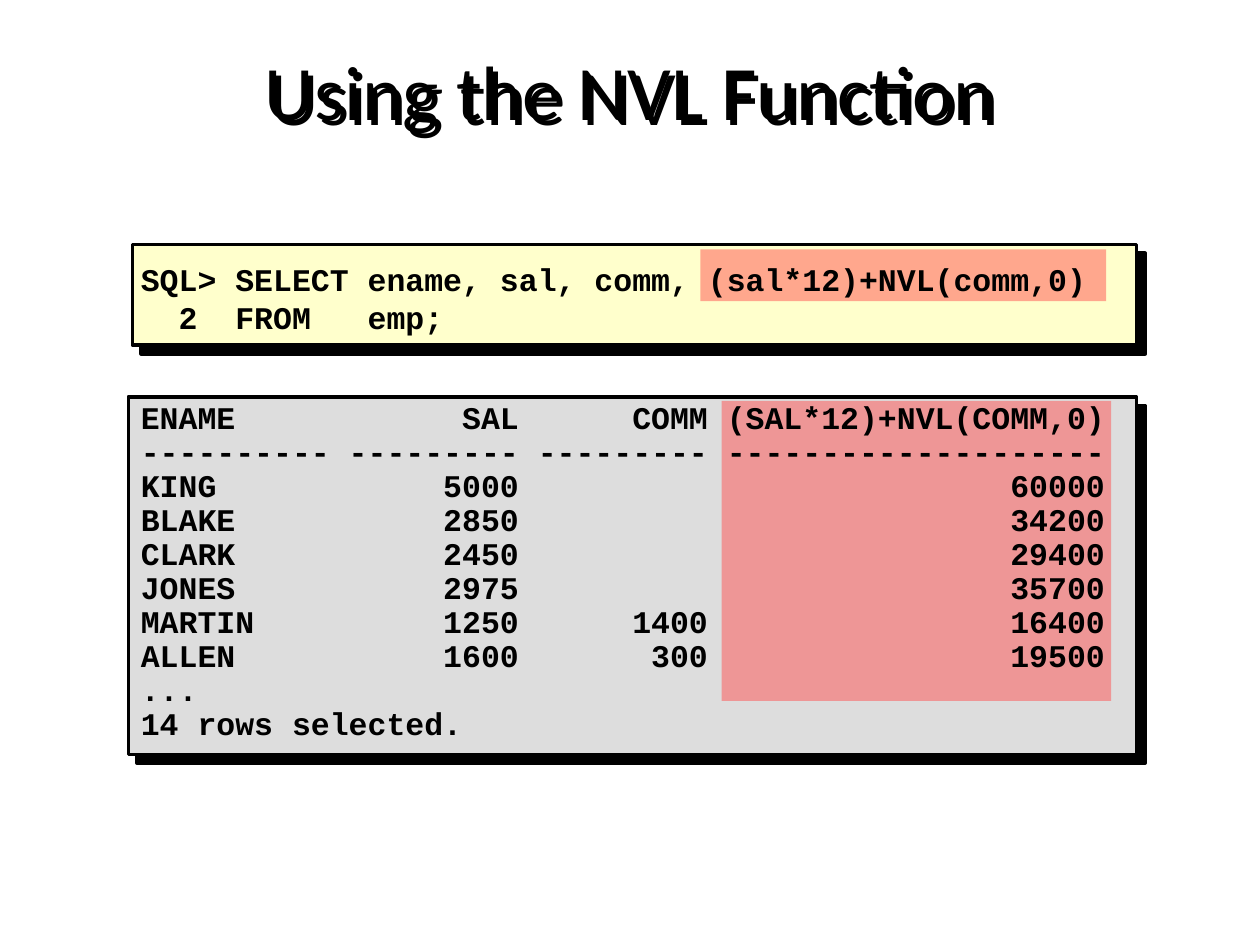
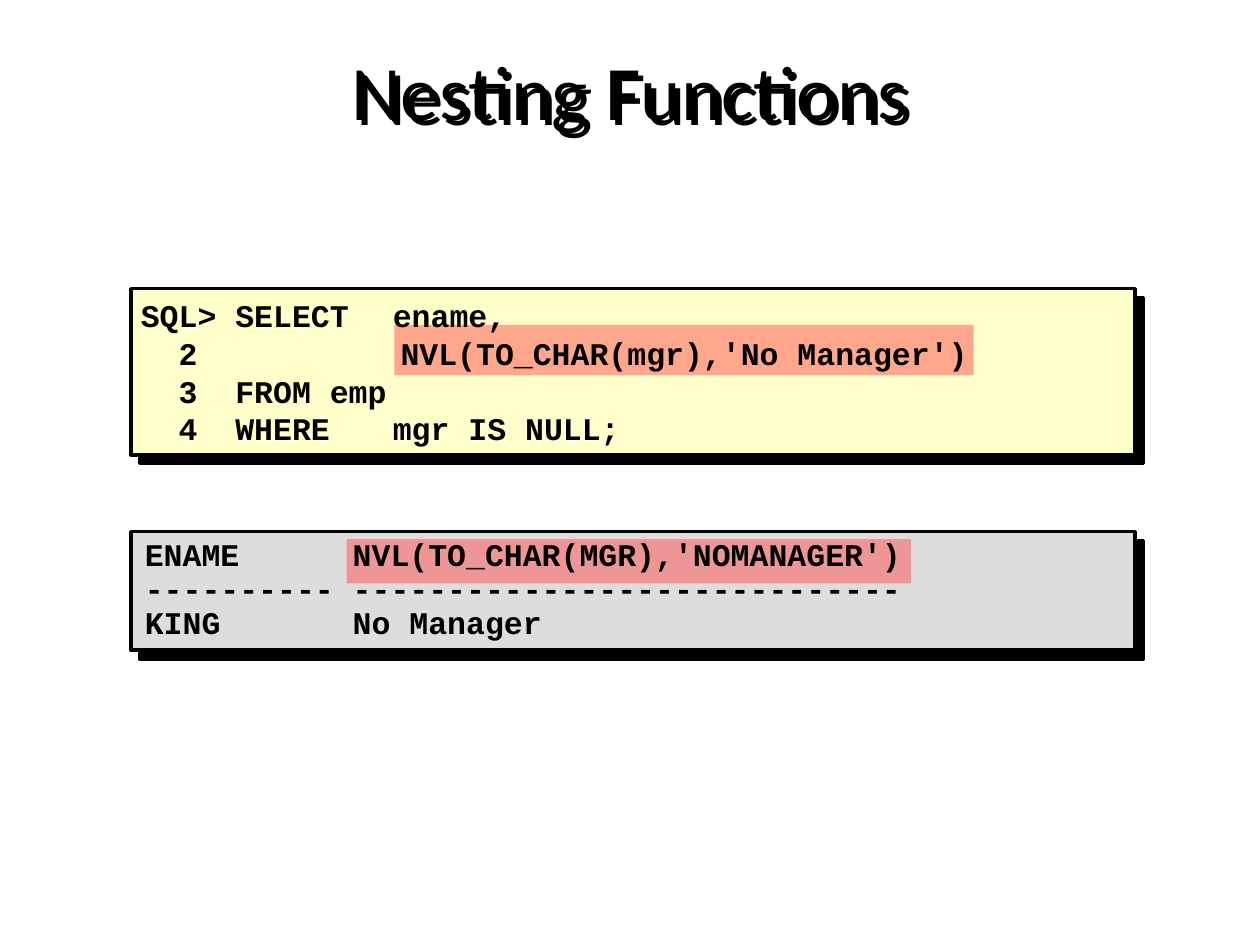
from lxml import etree
from pptx import Presentation
from pptx import util as u
from pptx.dml.color import RGBColor
from pptx.enum import shapes, text
from pptx.oxml.ns import qn

BLACK, CODE_FILL, RESULT_FILL, MARK = "000000", "FFFFCC", "DDDDDD", "FF5050"
TITLE_BOX = (1.27, 0.76, 22.86, 3.18)
TITLE_FONT = {"name": "Calibri", "size": u.Pt(44)}
CODE_FONT = {"name": "Courier New", "size": u.Pt(18), "bold": True}
CODE_FORMAT = {"anchor": text.MSO_ANCHOR.MIDDLE}
RESULT_FORMAT = {"spacing": 0.9}

SLIDES = [
    {
        "title": "Using the NVL Function",
        "code": [
            "SQL> SELECT ename, sal, comm, (sal*12)+NVL(comm,0)",
            "  2  FROM   emp;",
        ],
        "columns": [("ENAME", "<", 10), ("SAL", ">", 9), ("COMM", ">", 9),
                    ("(SAL*12)+NVL(COMM,0)", ">", 20)],
        "rows": [
            ("KING", 5000, "", 60000),
            ("BLAKE", 2850, "", 34200),
            ("CLARK", 2450, "", 29400),
            ("JONES", 2975, "", 35700),
            ("MARTIN", 1250, 1400, 16400),
            ("ALLEN", 1600, 300, 19500),
        ],
        "ending": ["...", "14 rows selected."],
        "panels": [(2.67, 4.93, 20.24, 2.03), (2.59, 8, 20.32, 7.21)],
        "marks": [(14.12, 5.03, 8.18, 1.04), (14.55, 8.08, 7.85, 6.05)],
        "texts": [(2.59, 4.62, 20.32, 2.77), (2.59, 7.98, 20.24, 7.14)],
    },
    {
        "title": "Nesting Functions",
        "code": [
            "SQL> SELECT\tename,",
            "  2\t     NVL(TO_CHAR(mgr),'No Manager')",
            "  3  FROM\temp",
            "  4  WHERE\tmgr IS NULL;",
        ],
        "columns": [("ENAME", "<", 10), ("NVL(TO_CHAR(MGR),'NOMANAGER')", "<", 29)],
        "rows": [("KING", "No Manager")],
        "ending": [],
        "panels": [(2.64, 5.82, 20.24, 3.35), (2.64, 10.72, 20.24, 2.39)],
        "marks": [(7.95, 6.55, 11.68, 1.02), (6.99, 10.87, 11.38, 0.89)],
        "texts": [(2.59, 5.46, 20.32, 4.06), (2.67, 10.74, 20.17, 2.31)],
    },
]


def rgb(value):
    return RGBColor.from_string(value)


def cm(box):
    return [u.Cm(v) for v in box]


def add_shadow(sp, distance):
    effects = sp._element.spPr.get_or_add_effectLst() if hasattr(
        sp._element.spPr, "get_or_add_effectLst") else etree.SubElement(
        sp._element.spPr, qn("a:effectLst"))
    shadow = etree.SubElement(effects, qn("a:outerShdw"), dist=str(u.Pt(distance)),
                              dir="2700000", algn="ctr", rotWithShape="0")
    etree.SubElement(shadow, qn("a:srgbClr"), val=BLACK)


def add_rect(s, box, fill):
    sp = s.shapes.add_shape(shapes.MSO_SHAPE.RECTANGLE, *cm(box))
    sp.shadow.inherit = False
    sp.fill.solid()
    sp.fill.fore_color.rgb = rgb(fill)
    return sp


def add_panel(s, box, fill):
    sp = add_rect(s, box, fill)
    sp.line.color.rgb = rgb(BLACK)
    sp.line.width = u.Pt(2)
    add_shadow(sp, 7.1)


def add_mark(s, box):
    sp = add_rect(s, box, MARK)
    sp.line.fill.background()
    color = sp._element.spPr.find(qn("a:solidFill"))[0]
    etree.SubElement(color, qn("a:alpha"), val="50000")


def add_text(s, box, lines, font, anchor=text.MSO_ANCHOR.TOP, align=None,
             spacing=None, tab=None):
    sp = s.shapes.add_textbox(*cm(box))
    tf = sp.text_frame
    tf.word_wrap = True
    tf.vertical_anchor = anchor
    for i, line in enumerate(lines):
        p = tf.add_paragraph() if i else tf.paragraphs[0]
        p.alignment = align
        p.line_spacing = spacing
        if tab:
            tabs = etree.SubElement(p._p.get_or_add_pPr(), qn("a:tabLst"))
            etree.SubElement(tabs, qn("a:tab"), pos=str(u.Cm(tab)), algn="l")
        r = p.add_run()
        r.text = line
        for key, value in font.items():
            setattr(r.font, key, value)
        r.font.color.rgb = rgb(BLACK)
    return sp


def result_lines(columns, rows, ending):
    names = [name for name, _, _ in columns]
    rules = ["-" * width for _, _, width in columns]
    table = [" ".join(f"{value:{align}{width}}" for value, (_, align, width)
                      in zip(row, columns)).rstrip()
             for row in [names, rules, *rows]]
    return table + ending


def build_slide(prs, content):
    s = prs.slides.add_slide(prs.slide_layouts[6])
    for box, fill in zip(content["panels"], (CODE_FILL, RESULT_FILL)):
        add_panel(s, box, fill)
    for box in content["marks"]:
        add_mark(s, box)
    title = add_text(s, TITLE_BOX, [content["title"]], TITLE_FONT,
                     align=text.PP_ALIGN.CENTER)
    add_shadow(title, 4)
    results = result_lines(content["columns"], content["rows"], content["ending"])
    for box, lines, layout in zip(content["texts"], (content["code"], results),
                                  (CODE_FORMAT, RESULT_FORMAT)):
        add_text(s, box, lines, CODE_FONT, tab=3.33, **layout)


def main():
    prs = Presentation()
    prs.slide_width, prs.slide_height = u.Cm(25.4), u.Cm(19.05)
    for content in SLIDES:
        build_slide(prs, content)
    prs.save("out.pptx")


if __name__ == "__main__":
    main()
